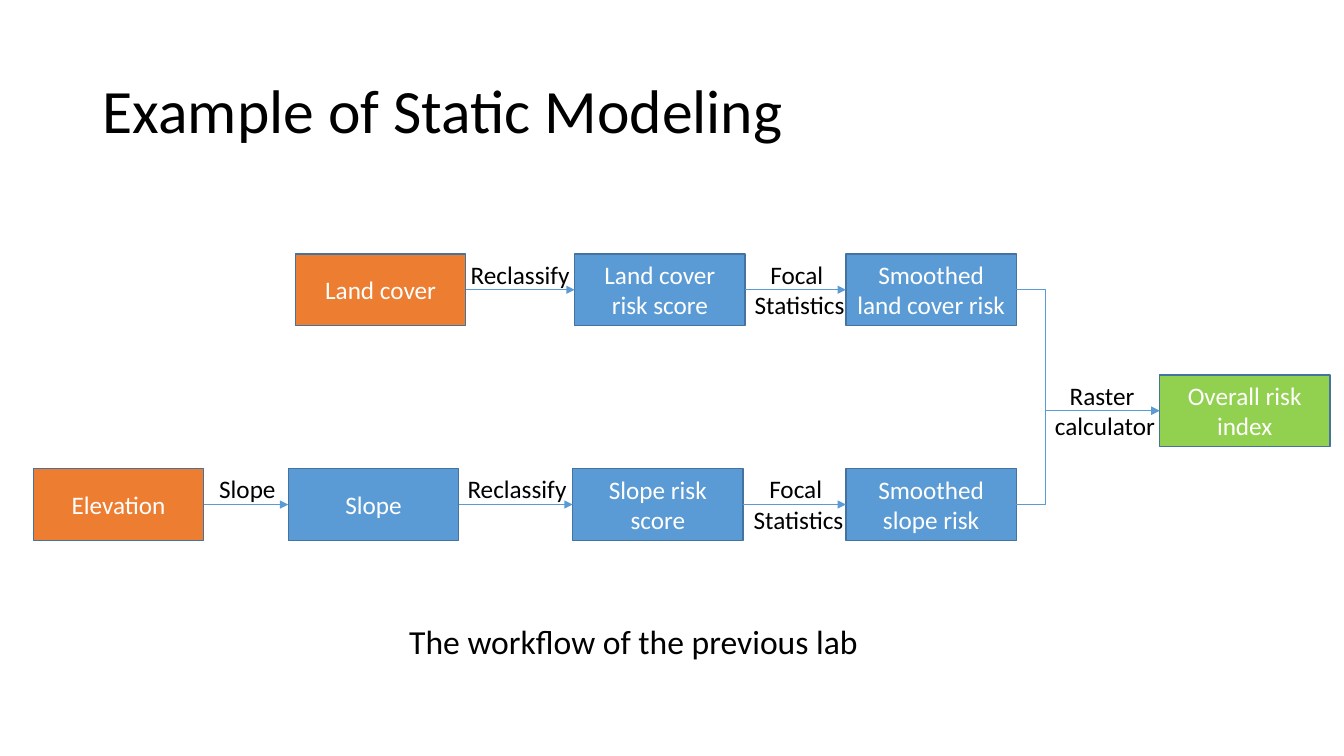
from dataclasses import dataclass

from lxml.etree import SubElement
from pptx import Presentation
from pptx.dml.color import RGBColor
from pptx.enum.shapes import MSO_CONNECTOR, MSO_SHAPE
from pptx.enum.text import MSO_ANCHOR, PP_ALIGN
from pptx.oxml.ns import qn
from pptx.shapes.autoshape import Shape
from pptx.slide import Slide
from pptx.util import Inches, Pt


@dataclass(frozen=True)
class Theme:
    """Colours, type sizes and line widths of the slide."""
    font: str = "Calibri"
    ink: str = "000000"
    on_fill: str = "FFFFFF"
    source: str = "ED7D31"
    derived: str = "5B9BD5"
    result: str = "92D050"
    border: str = "43739E"
    title_size: float = 44
    caption_size: float = 24
    body_size: float = 18
    border_width: float = 1
    arrow_width: float = 0.5


@dataclass(frozen=True)
class Area:
    """A rectangle in percent of the slide's width and height."""
    left: float
    top: float
    width: float
    height: float


@dataclass(frozen=True)
class Layer:
    """A map layer in the workflow; its place is in percent of the slide."""
    text: str
    left: float
    top: float
    fill: str


@dataclass(frozen=True)
class Operation:
    """An arrow between two layers, its label and the label's shift."""
    start: str
    end: str
    label: str = ""
    shift: float = 0


THEME = Theme()
WIDTH, HEIGHT = Inches(13.33), Inches(7.5)
LAYER_WIDTH, LAYER_HEIGHT = 12.68, 9.47
LABEL_WIDTH = 9
BEND = 0.2  # share of the way at which a bent arrow turns
LEFT_SITE, RIGHT_SITE = 1, 3
COVER_ROW, RESULT_ROW, SLOPE_ROW = 33.6, 49.6, 62
SMOOTHED_COLUMN = 62.94
FOCAL_LABEL = "Focal \nStatistics"

TITLE_AREA = Area(6.9, 5.33, 86.27, 19.33)
CAPTION_AREA = Area(29.71, 81.47, 35.26, 6.67)

LAYERS = {
    "cover": Layer("Land cover", 21.98, COVER_ROW, THEME.source),
    "elevation": Layer("Elevation", 2.48, SLOPE_ROW, THEME.source),
    "cover score": Layer("Land cover risk score", 42.76, COVER_ROW, THEME.derived),
    "slope": Layer("Slope", 21.45, SLOPE_ROW, THEME.derived),
    "slope score": Layer("Slope risk score", 42.61, SLOPE_ROW, THEME.derived),
    "smooth cover": Layer("Smoothed land cover risk", SMOOTHED_COLUMN, COVER_ROW, THEME.derived),
    "smooth slope": Layer("Smoothed slope risk", SMOOTHED_COLUMN, SLOPE_ROW, THEME.derived),
    "overall": Layer("Overall risk index", 86.27, RESULT_ROW, THEME.result),
}

OPERATIONS = [
    Operation("cover", "cover score", "Reclassify"),
    Operation("cover score", "smooth cover", FOCAL_LABEL, 0.3),
    Operation("elevation", "slope", "Slope", 0.1),
    Operation("slope", "slope score", "Reclassify", 0.1),
    Operation("slope score", "smooth slope", FOCAL_LABEL, 0.3),
    Operation("smooth cover", "overall", "Raster \ncalculator", 0.2),
    Operation("smooth slope", "overall"),
]


def place(area: Area) -> tuple[int, int, int, int]:
    """Turn slide percentages into lengths."""
    return (int(area.left * WIDTH / 100), int(area.top * HEIGHT / 100),
            int(area.width * WIDTH / 100), int(area.height * HEIGHT / 100))


def write(shape: Shape, text: str, size: float, color: str,
          align: PP_ALIGN = PP_ALIGN.CENTER) -> None:
    """Fill a shape with text, one paragraph a line, in one style."""
    shape.text_frame.text = text
    for paragraph in shape.text_frame.paragraphs:
        paragraph.alignment = align
        paragraph.font.name = THEME.font
        paragraph.font.size = Pt(size)
        paragraph.font.color.rgb = RGBColor.from_string(color)


def add_text(slide: Slide, area: Area, text: str, size: float,
             align: PP_ALIGN = PP_ALIGN.CENTER, wrap: bool = False) -> Shape:
    """Add plain text without a fill."""
    box = slide.shapes.add_textbox(*place(area))
    write(box, text, size, THEME.ink, align)
    box.text_frame.word_wrap = wrap
    return box


def add_title(slide: Slide, text: str) -> None:
    """Add the heading, centred on its height."""
    title = add_text(slide, TITLE_AREA, text, THEME.title_size, PP_ALIGN.LEFT, wrap=True)
    title.text_frame.vertical_anchor = MSO_ANCHOR.MIDDLE
    title.text_frame.paragraphs[0].line_spacing = 0.9


def add_layer(slide: Slide, layer: Layer) -> Shape:
    """Add the box of one map layer."""
    area = Area(layer.left, layer.top, LAYER_WIDTH, LAYER_HEIGHT)
    box = slide.shapes.add_shape(MSO_SHAPE.RECTANGLE, *place(area))
    box.shadow.inherit = False
    box.fill.solid()
    box.fill.fore_color.rgb = RGBColor.from_string(layer.fill)
    box.line.color.rgb = RGBColor.from_string(THEME.border)
    box.line.width = Pt(THEME.border_width)
    write(box, layer.text, THEME.body_size, THEME.on_fill)
    box.text_frame.word_wrap = True
    box.text_frame.vertical_anchor = MSO_ANCHOR.MIDDLE
    return box


def is_bent(operation: Operation) -> bool:
    """Tell whether an arrow joins two different rows."""
    return LAYERS[operation.start].top != LAYERS[operation.end].top


def add_arrow(slide: Slide, operation: Operation, boxes: dict[str, Shape]) -> None:
    """Join two layers from right side to left side."""
    bent = is_bent(operation)
    kind = MSO_CONNECTOR.ELBOW if bent else MSO_CONNECTOR.STRAIGHT
    arrow = slide.shapes.add_connector(kind, 0, 0, 0, 0)
    arrow.begin_connect(boxes[operation.start], RIGHT_SITE)
    arrow.end_connect(boxes[operation.end], LEFT_SITE)
    arrow.line.color.rgb = RGBColor.from_string(THEME.derived)
    arrow.line.width = Pt(THEME.arrow_width)
    properties = arrow._element.spPr
    SubElement(properties.find(qn("a:ln")), qn("a:tailEnd"), type="triangle")
    SubElement(properties, qn("a:effectLst"))
    if bent:
        guides = properties.find(qn("a:prstGeom")).get_or_add_avLst()
        SubElement(guides, qn("a:gd"), name="adj1", fmla=f"val {int(BEND * 100000)}")


def add_label(slide: Slide, operation: Operation) -> None:
    """Centre an operation's name over the last straight part of its arrow."""
    target = LAYERS[operation.end]
    begin = LAYERS[operation.start].left + LAYER_WIDTH
    if is_bent(operation):
        begin += BEND * (target.left - begin)
    middle = (begin + target.left) / 2 + operation.shift
    area = Area(middle - LABEL_WIDTH / 2, target.top, LABEL_WIDTH, LAYER_HEIGHT)
    add_text(slide, area, operation.label, THEME.body_size)


def main() -> None:
    """Build the slide and save it."""
    deck = Presentation()
    deck.slide_width, deck.slide_height = WIDTH, HEIGHT
    slide = deck.slides.add_slide(deck.slide_layouts[6])
    add_title(slide, "Example of Static Modeling")
    boxes = {key: add_layer(slide, layer) for key, layer in LAYERS.items()}
    for operation in OPERATIONS:
        add_arrow(slide, operation, boxes)
    for operation in OPERATIONS:
        if operation.label:
            add_label(slide, operation)
    add_text(slide, CAPTION_AREA, "The workflow of the previous lab",
             THEME.caption_size, PP_ALIGN.LEFT)
    deck.save("out.pptx")


main()
